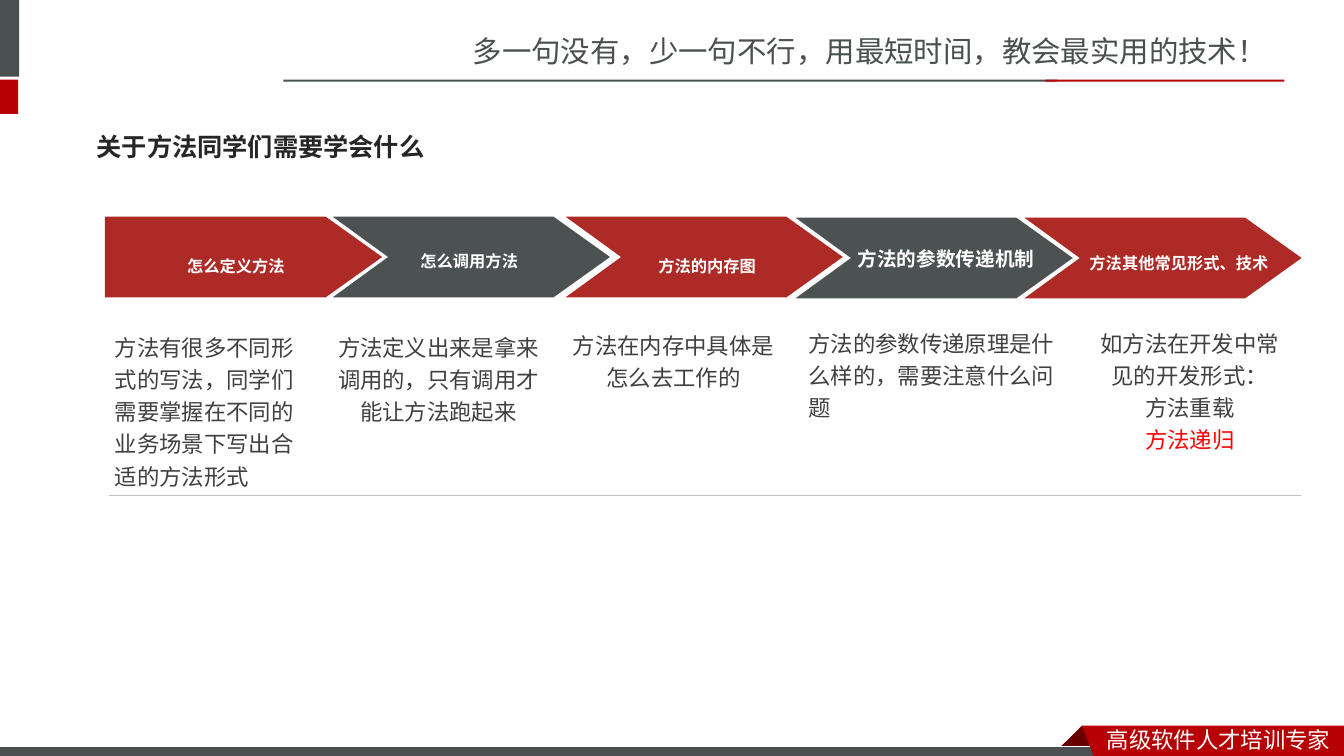
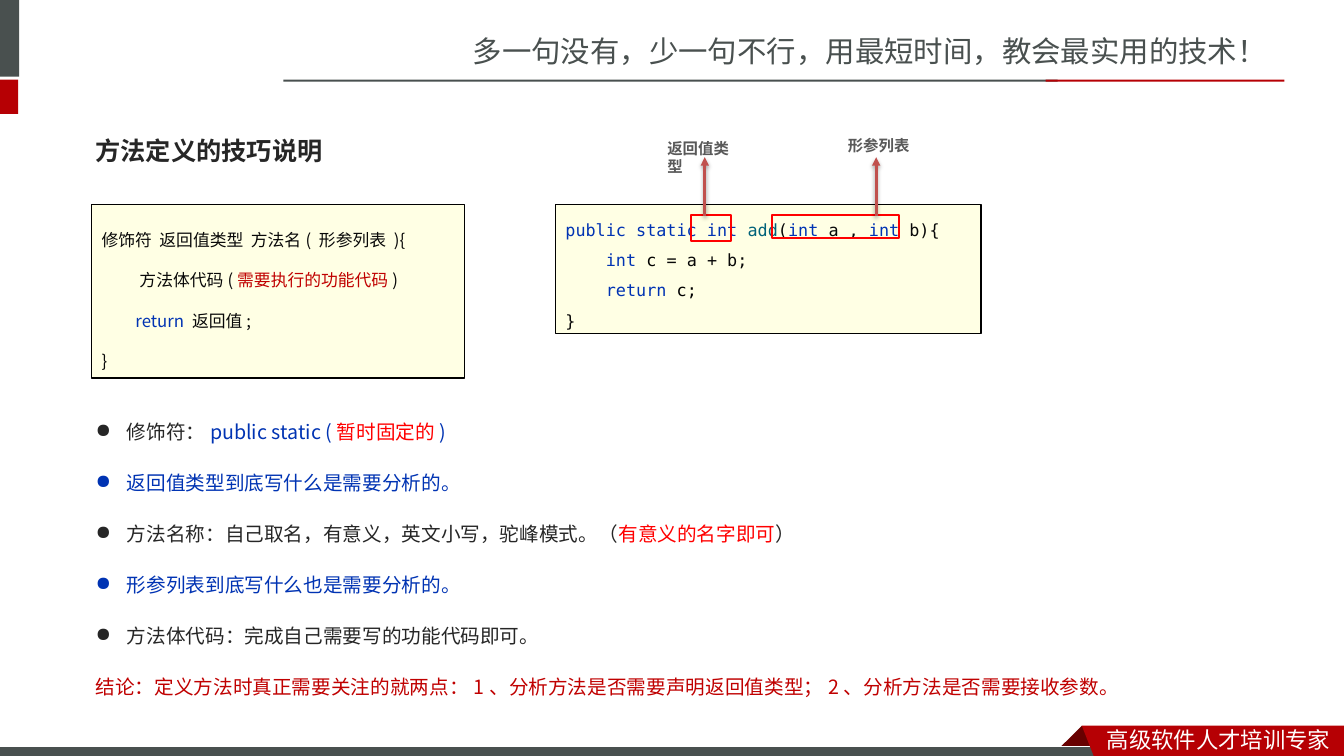
from dataclasses import dataclass, replace

from lxml import etree
from pptx import Presentation
from pptx import util as u
from pptx.dml.color import RGBColor
from pptx.enum import shapes, text
from pptx.oxml.ns import qn

LEFT, CENTER = text.PP_ALIGN.LEFT, text.PP_ALIGN.CENTER
TOP, MIDDLE = text.MSO_ANCHOR.TOP, text.MSO_ANCHOR.MIDDLE


@dataclass(frozen=True)
class TextStyle:
    size: float
    color: str
    font: str = "Noto Sans CJK JP"
    bold: bool = False
    align: text.PP_ALIGN = LEFT
    anchor: text.MSO_ANCHOR = TOP
    spacing: float = 1.0
    before: float = 0
    baseline: int = 0
    wrap: bool = True


@dataclass(frozen=True)
class Theme:
    slate: str = "49504F"
    crimson: str = "B60004"
    fold: str = "680000"
    step_colors: tuple = ("AD2A26", "4C5252")
    white: str = "FFFFFF"
    black: str = "000000"
    ink: str = "262626"
    code_ink: str = "080808"
    code_fill: str = "FFFFE4"
    keyword: str = "0033B3"
    method_name: str = "00627A"
    red: str = "FF0000"
    dark_red: str = "C00000"
    arrow: str = "C0504D"
    rule: str = "BFBFBF"
    slogan = TextStyle(21, slate, "Noto Sans CJK SC")
    footer = TextStyle(16, white, "Noto Sans CJK SC")
    title = TextStyle(18, ink, bold=True, anchor=MIDDLE)
    step = TextStyle(20, white, bold=True, align=CENTER, anchor=MIDDLE, baseline=-3000)
    step_plain = TextStyle(14, white, bold=True, align=CENTER, anchor=MIDDLE, spacing=1.2)
    detail = TextStyle(16, "404040", spacing=1.2)
    syntax = TextStyle(12, code_ink, spacing=2)
    code = TextStyle(12, code_ink, "DejaVu Sans Mono", spacing=1.5)
    points = TextStyle(14, ink, anchor=MIDDLE, spacing=2, before=2.8)
    label = TextStyle(11, "595959", bold=True, wrap=False)


THEME = Theme()


class Deck:
    def __init__(self):
        self.presentation = Presentation()
        self.presentation.slide_width = u.Inches(13.33)
        self.presentation.slide_height = u.Inches(7.5)
        self.slide = None

    def new_slide(self):
        """Add a slide with the shared bands, slogan and footer."""
        self.slide = self.presentation.slides.add_slide(self.presentation.slide_layouts[6])
        self.text((4.59, 0.28, 8.75, 0.45), ["多一句没有，少一句不行，用最短时间，教会最实用的技术！"], THEME.slogan)
        for box, color in (
            ((0, 0, 0.19, 0.76), THEME.slate),
            ((0, 0.79, 0.18, 0.34), THEME.crimson),
            ((2.81, 0.79, 7.68, 0.02), THEME.slate),
            ((10.37, 0.79, 2.37, 0.02), THEME.crimson),
        ):
            self.rectangle(box, fill=color)
        self.polygon([(10.73, 7.2), (10.95, 7.42), (10.94, 7.43), (10.52, 7.43), (10.51, 7.42)], THEME.fold)
        self.rectangle((-0.01, 7.41, 11, 0.12), fill=THEME.slate, line=THEME.white, width=0.75)
        self.polygon([(10.73, 7.2), (13.33, 7.2), (13.33, 7.54), (10.86, 7.53)], THEME.crimson)
        self.text((10.88, 7.15, 2.45, 0.37), ["高级软件人才培训专家"], THEME.footer)

    def paint(self, shape, fill=None, line=None, width=1.0):
        shape.shadow.inherit = False
        if fill:
            shape.fill.solid()
            shape.fill.fore_color.rgb = RGBColor.from_string(fill)
        else:
            shape.fill.background()
        if line:
            shape.line.color.rgb = RGBColor.from_string(line)
            shape.line.width = u.Pt(width)
        else:
            shape.line.fill.background()

    def rectangle(self, box, fill=None, line=None, width=1.0):
        shape = self.slide.shapes.add_shape(shapes.MSO_SHAPE.RECTANGLE, *map(u.Inches, box))
        self.paint(shape, fill, line, width)
        return shape

    def polygon(self, points, fill):
        start, *others = [(u.Inches(x), u.Inches(y)) for x, y in points]
        builder = self.slide.shapes.build_freeform(*start)
        builder.add_line_segments(others, close=True)
        self.paint(builder.convert_to_shape(), fill)

    def chevron(self, left, top, fill, notch=0.55):
        width, height, tip = 2.75, 0.8, 0.56
        right, middle, bottom = left + width, top + height / 2, top + height
        points = [(left, top), (right - tip, top), (right, middle), (right - tip, bottom), (left, bottom)]
        if notch:
            points.append((left + notch, middle))
        self.polygon(points, fill)

    def line(self, start, end, color, width):
        connector = self.slide.shapes.add_connector(
            shapes.MSO_CONNECTOR.STRAIGHT, *map(u.Inches, (*start, *end)))
        connector.line.color.rgb = RGBColor.from_string(color)
        connector.line.width = u.Pt(width)
        effects = etree.SubElement(connector._element.spPr, qn("a:effectLst"))
        return connector, effects

    def arrow(self, start, end):
        """Draw an arrow with a soft shadow below it."""
        connector, effects = self.line(start, end, THEME.arrow, 2)
        etree.SubElement(connector.line._get_or_add_ln(), qn("a:tailEnd"), type="triangle")
        shadow = etree.SubElement(
            effects, qn("a:outerShdw"), blurRad=str(u.Pt(3.1)), dist=str(u.Pt(1.6)),
            dir="5400000", rotWithShape="0")
        color = etree.SubElement(shadow, qn("a:srgbClr"), val=THEME.black)
        etree.SubElement(color, qn("a:alpha"), val="38000")

    def text(self, box, paragraphs, style, bullets=0):
        shape = self.slide.shapes.add_textbox(*map(u.Inches, box))
        self.fill_frame(shape.text_frame, paragraphs, style, bullets)

    def code_box(self, box, runs, style):
        shape = self.rectangle(box, THEME.code_fill, THEME.black)
        self.fill_frame(shape.text_frame, [runs], style)

    def fill_frame(self, frame, paragraphs, style, bullets=0):
        """Fill a frame; a paragraph is a string or (text, color) runs, the first `bullets` get a dot."""
        frame.word_wrap = style.wrap
        frame.vertical_anchor = style.anchor
        for index, runs in enumerate(paragraphs):
            paragraph = frame.paragraphs[0] if index == 0 else frame.add_paragraph()
            if isinstance(runs, str):
                runs = [(runs, style.color)]
            paragraph.alignment = style.align
            paragraph.line_spacing = style.spacing
            if index and style.before:
                paragraph.space_before = u.Pt(style.before)
            if index < bullets:
                self.bullet(paragraph)
            base_color = runs[0][1]
            self.set_font(paragraph.font, style, base_color)
            for content, color in runs:
                self.add_run(paragraph, content, None if color == base_color else color)

    def bullet(self, paragraph):
        properties = paragraph._p.get_or_add_pPr()
        properties.set("marL", str(u.Inches(0.31)))
        properties.set("indent", str(-u.Inches(0.31)))
        etree.SubElement(properties, qn("a:buChar"), char="●")

    def set_font(self, font, style, color):
        font.size = u.Pt(style.size)
        font.bold = style.bold
        font.color.rgb = RGBColor.from_string(color)
        font.name = style.font
        etree.SubElement(font._rPr, qn("a:ea"), typeface=style.font)
        if style.baseline:
            font._rPr.set("baseline", str(style.baseline))

    def add_run(self, paragraph, content, color):
        """Add text in one colour, with a line break at each newline."""
        for index, part in enumerate(content.split("\n")):
            if index:
                paragraph.add_line_break()
            if part:
                run = paragraph.add_run()
                run.text = part
                if color:
                    run.font.color.rgb = RGBColor.from_string(color)


def learning_goals(deck):
    deck.new_slide()
    deck.text((0.86, 1.17, 4.08, 0.57), ["关于方法同学们需要学会什么"], THEME.title)
    spaced = replace(THEME.step, spacing=1.2)
    centered = replace(THEME.detail, align=CENTER)
    steps = [
        # chevron left and top, heading, heading box and style, detail, detail box and style
        (1.04, 2.15, "怎么定义方法", (1.03, 2.37, 2.62, 0.36), spaced,
         ["方法有很多不同形式的写法，同学们需要掌握在不同的业务场景下写出合适的方法形式"],
         (1.04, 3.21, 2.12, 1.7), THEME.detail),
        (3.3, 2.15, "怎么调用方法", (3.49, 2.37, 2.33, 0.33), THEME.step,
         ["方法定义出来是拿来调用的，只有调用才能让方法跑起来"],
         (3.2, 3.21, 2.3, 1.07), centered),
        (5.61, 2.15, "方法的内存图", (5.28, 2.37, 3.47, 0.36), spaced,
         ["方法在内存中具体是怎么去工作的"],
         (5.53, 3.19, 2.3, 0.73), centered),
        (7.89, 2.16, "方法的参数传递机制", (8.22, 2.36, 2.33, 0.37), THEME.step_plain,
         ["方法的参数传递原理是什么样的，需要注意什么问题"],
         (7.92, 3.17, 2.75, 1.09), THEME.detail),
        (10.16, 2.16, "方法其他常见形式、技术", (10.53, 2.39, 2.33, 0.33), THEME.step,
         ["如方法在开发中常见的开发形式：", "方法重载", [("方法递归", THEME.red)]],
         (10.74, 3.17, 2.12, 1.38), centered),
    ]
    for index, (left, top, heading, heading_box, heading_style, detail, detail_box, style) in enumerate(steps):
        deck.chevron(left, top, THEME.step_colors[index % 2], notch=0.55 if index else 0)
        deck.text(heading_box, [heading], heading_style)
        deck.text(detail_box, detail, style)
    deck.line((1.08, 4.91), (12.9, 4.91), THEME.rule, 0.25)


def method_definition(deck):
    ink, keyword, red = THEME.ink, THEME.keyword, THEME.red
    code_ink, dark_red = THEME.code_ink, THEME.dark_red
    deck.new_slide()
    deck.text((0.85, 1.21, 3.37, 0.57), ["方法定义的技巧说明"], replace(THEME.title, font=THEME.code.font))
    deck.code_box((0.91, 2.03, 3.7, 1.72), [
        ("修饰符  返回值类型  方法名( 形参列表 ){\n         方法体代码(", code_ink),
        ("需要执行的功能代码", dark_red),
        (")\n         ", code_ink),
        ("return ", keyword),
        ("返回值;\n}", code_ink),
    ], THEME.syntax)
    deck.text((0.85, 4.04, 12.03, 2.78), [
        [("修饰符：", ink), ("public static (", keyword), ("暂时固定的", red), (")", keyword)],
        [("返回值类型到底写什么是需要分析的。", keyword)],
        [("方法名称：自己取名，有意义，英文小写，驼峰模式。（", ink), ("有意义的名字即可", red), ("）", ink)],
        [("形参列表到底写什么也是需要分析的。", keyword)],
        "方法体代码：完成自己需要写的功能代码即可。",
        [("结论：定义方法时真正需要关注的就两点：1、分析方法是否需要声明返回值类型；"
          "2、分析方法是否需要接收参数。", dark_red)],
    ], THEME.points, bullets=5)
    deck.code_box((5.51, 2.03, 4.22, 1.28), [
        ("public static int ", keyword), ("add", THEME.method_name), ("(", code_ink),
        ("int ", keyword), ("a , ", code_ink), ("int ", keyword), ("b){\n    ", code_ink),
        ("int ", keyword), ("c ", THEME.black), ("= a + b;\n    ", code_ink),
        ("return ", keyword), ("c;\n", THEME.black), ("}", code_ink),
    ], THEME.code)
    callouts = [
        # highlighted code, arrow position, label and its box
        ((6.85, 2.13, 0.4, 0.26), 6.99, "返回值类型", (6.52, 1.33, 0.96, 0.29)),
        ((7.66, 2.13, 1.26, 0.23), 8.69, "形参列表", (8.31, 1.3, 0.81, 0.29)),
    ]
    for highlight, arrow_x, label, label_box in callouts:
        deck.rectangle(highlight, line=red, width=1.5)
        deck.arrow((arrow_x, 2.14), (arrow_x, 1.56))
        deck.text(label_box, [label], THEME.label)


def main():
    deck = Deck()
    learning_goals(deck)
    method_definition(deck)
    deck.presentation.save("out.pptx")


if __name__ == "__main__":
    main()
